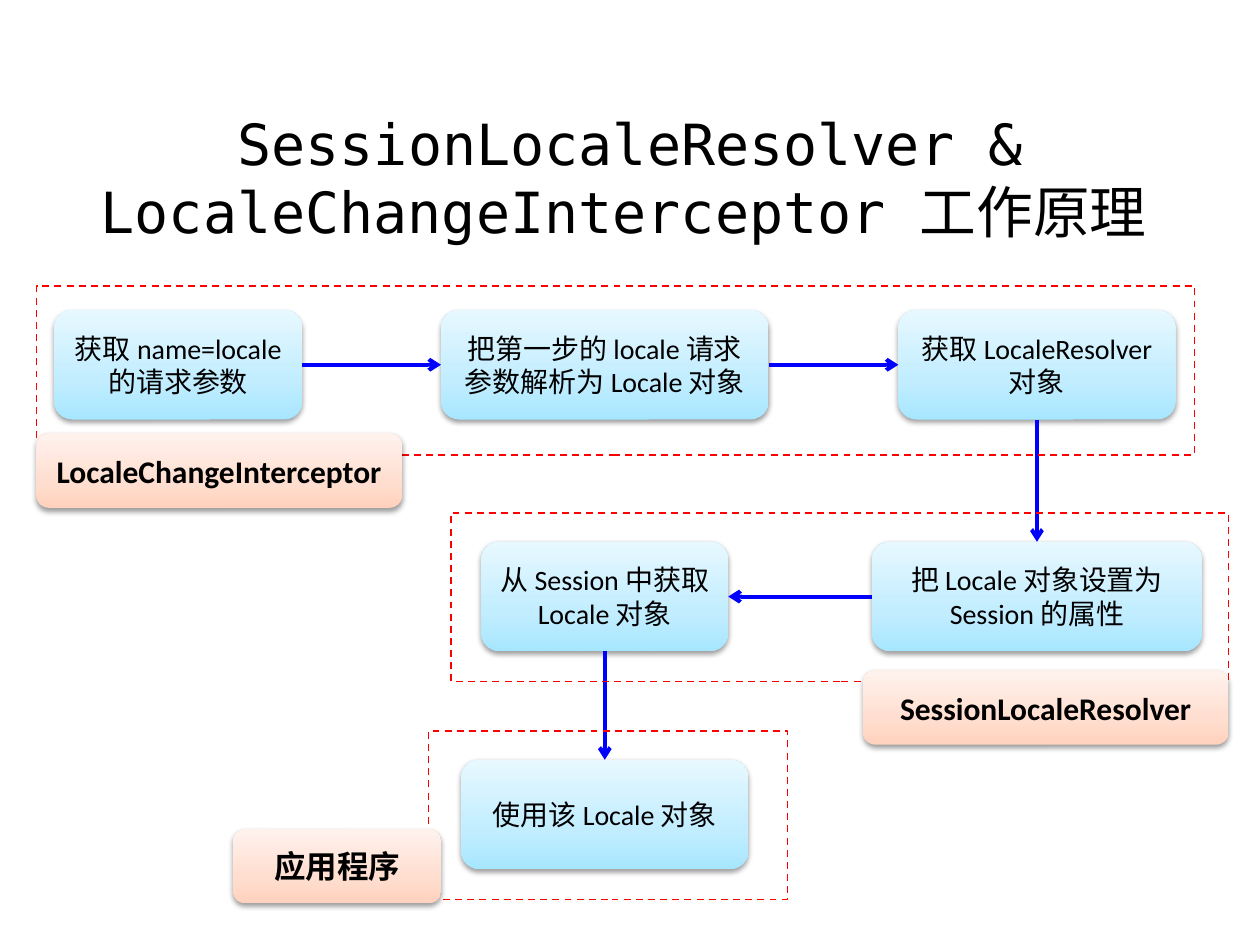
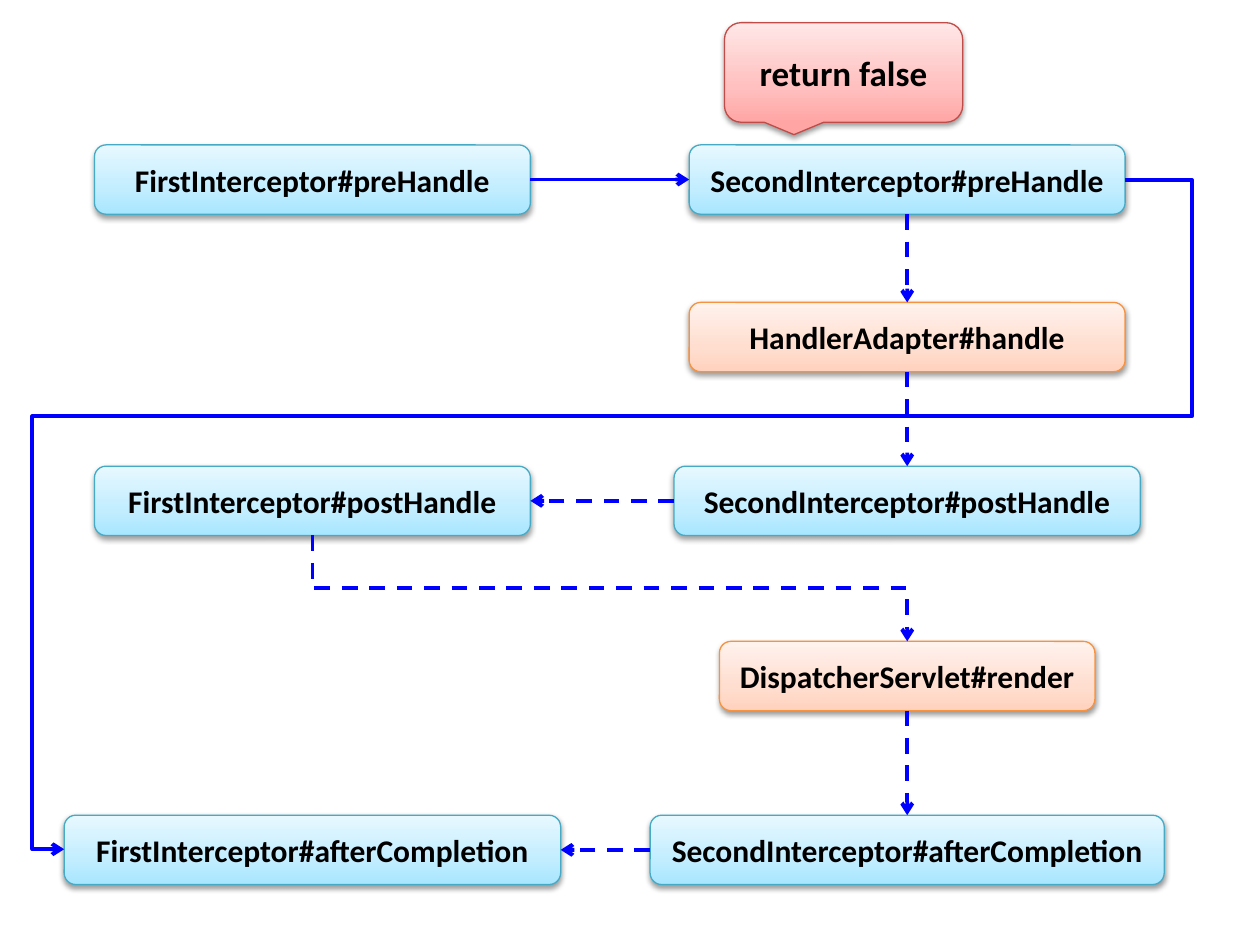
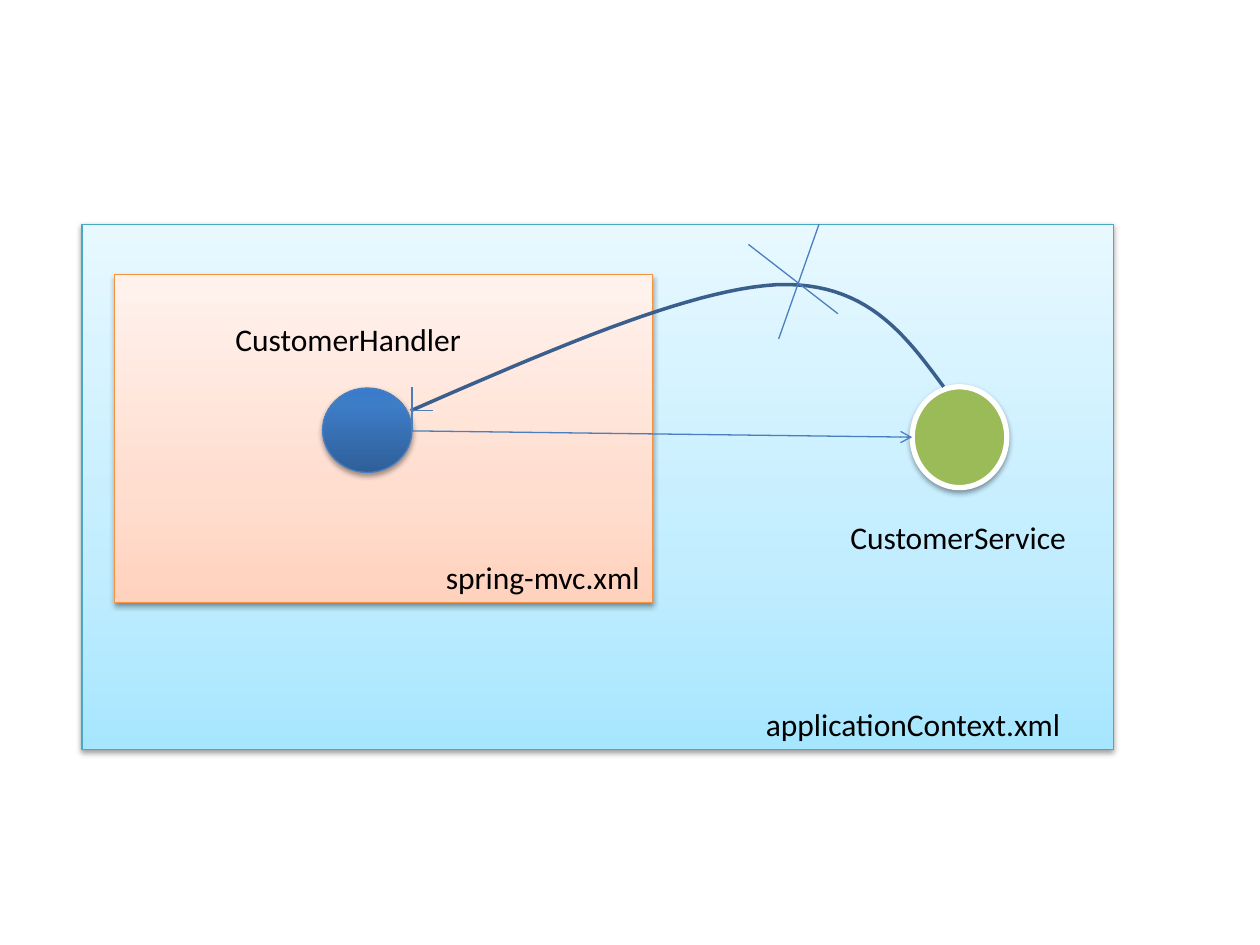
from pptx import Presentation
from pptx.dml.color import RGBColor
from pptx.enum.dml import MSO_LINE
from pptx.enum.shapes import MSO_CONNECTOR, MSO_SHAPE
from pptx.enum.text import MSO_ANCHOR, MSO_AUTO_SIZE, PP_ALIGN
from pptx.oxml.ns import qn
from pptx.util import Pt
from lxml.etree import SubElement

SCALE = 9144  # EMU in one px, 100 px to the inch
FONT = "Calibri"
MONO = "DejaVu Sans Mono"

BLACK = RGBColor(0x00, 0x00, 0x00)
WHITE = RGBColor(0xFF, 0xFF, 0xFF)
RED = RGBColor(0xFF, 0x00, 0x00)
BLUE = RGBColor(0x00, 0x00, 0xFF)
GREEN = RGBColor(0x9B, 0xBB, 0x59)
STEEL = RGBColor(0x4B, 0x7E, 0xBC)
NAVY = RGBColor(0x3A, 0x5F, 0x8C)
AQUA = RGBColor(0x46, 0xAA, 0xC5)
ORANGE = RGBColor(0xF6, 0x92, 0x40)
BRICK = RGBColor(0xBF, 0x4C, 0x48)

# Gradient stops run from bottom to top: (percent, colour)
SKY = [(0, RGBColor(0xA7, 0xE6, 0xFF)), (35, RGBColor(0xC1, 0xED, 0xFF)),
       (100, RGBColor(0xE7, 0xF8, 0xFF))]
PEACH = [(0, RGBColor(0xFF, 0xD2, 0xBD)), (35, RGBColor(0xFF, 0xDE, 0xD0)),
         (100, RGBColor(0xFF, 0xF2, 0xED))]
ROSE = [(0, RGBColor(0xFF, 0xA6, 0xA5)), (35, RGBColor(0xFF, 0xC0, 0xBF)),
        (100, RGBColor(0xFF, 0xE7, 0xE7))]
OCEAN = [(0, RGBColor(0x2F, 0x5F, 0x99)), (80, RGBColor(0x3D, 0x7C, 0xC7)),
         (100, RGBColor(0x3A, 0x7C, 0xCB))]

TOP, LEFT, BOTTOM, RIGHT = range(4)


def px(*values):
    return [round(value * SCALE) for value in values]


def add_color(parent, color):
    return SubElement(parent, qn("a:srgbClr"), val=str(color))


def fill_grad(shape, stops):
    shape.fill.gradient()
    shape.fill.gradient_angle = 90
    group = shape._element.spPr.find(qn("a:gradFill")).find(qn("a:gsLst"))
    group.clear()
    for percent, color in stops:
        add_color(SubElement(group, qn("a:gs"), pos=str(percent * 1000)), color)


def drop_shadow(shape):
    effects = shape._element.spPr.find(qn("a:effectLst"))
    outer = SubElement(effects, qn("a:outerShdw"), blurRad="40000",
                       dist="20000", dir="5400000", rotWithShape="0")
    SubElement(add_color(outer, BLACK), qn("a:alpha"), val="38000")


def set_line(shape, color, width, dash=False):
    shape.line.color.rgb = color
    shape.line.width = Pt(width)
    if dash:
        shape.line.dash_style = MSO_LINE.DASH


def write(frame, text, size, bold=False, font=FONT, align=PP_ALIGN.CENTER):
    frame.text = text
    para = frame.paragraphs[0]
    para.alignment = align
    para.font.name = font
    para.font.size = Pt(size)
    para.font.bold = bold
    para.font.color.rgb = BLACK


def add_box(slide, kind, place, fill, edge=None, width=0.75):
    """Add a raised shape; fill is a colour or a list of gradient stops."""
    shape = slide.shapes.add_shape(kind, *px(*place))
    shape.shadow.inherit = False
    drop_shadow(shape)
    if isinstance(fill, list):
        fill_grad(shape, fill)
    else:
        shape.fill.solid()
        shape.fill.fore_color.rgb = fill
    if edge is None:
        shape.line.fill.background()
    else:
        set_line(shape, edge, width)
    return shape


def add_card(slide, text, place, fill, edge=None, size=18, bold=True,
             kind=MSO_SHAPE.ROUNDED_RECTANGLE):
    card = add_box(slide, kind, place, fill, edge)
    card.text_frame.word_wrap = True
    card.text_frame.vertical_anchor = MSO_ANCHOR.MIDDLE
    write(card.text_frame, text, size, bold)
    return card


def add_zone(slide, place):
    zone = slide.shapes.add_shape(MSO_SHAPE.RECTANGLE, *px(*place))
    zone.shadow.inherit = False
    zone.fill.background()
    set_line(zone, RED, 1, dash=True)


def add_label(slide, text, place):
    label = slide.shapes.add_textbox(*px(*place))
    label.text_frame.word_wrap = True
    write(label.text_frame, text, 18, align=PP_ALIGN.LEFT)


def add_wire(slide, start, end, color=BLUE, width=2.25, dash=False,
             head=True, kind=MSO_CONNECTOR.STRAIGHT):
    wire = slide.shapes.add_connector(kind, *px(*start, *end))
    set_line(wire, color, width, dash)
    props = wire._element.spPr
    if head:
        SubElement(props.get_or_add_ln(), qn("a:tailEnd"), type="arrow")
    SubElement(props, qn("a:effectLst"))
    return wire


def link(slide, source, out, target, into, dash=False):
    """Join the given sides of two cards with an arrow."""
    wire = add_wire(slide, (0, 0), (1, 1), dash=dash)
    wire.begin_connect(source, out)
    wire.end_connect(target, into)


def add_drop(slide, start, end):
    """Add a dashed elbow that leaves downwards and arrives downwards."""
    (x1, y1), (x2, y2) = start, end
    midx, midy = (x1 + x2) / 2, (y1 + y2) / 2
    halfx, halfy = (y2 - y1) / 2, (x2 - x1) / 2
    wire = add_wire(slide, (midx + halfx, midy - halfy),
                    (midx - halfx, midy + halfy),
                    dash=True, kind=MSO_CONNECTOR.ELBOW)
    wire._element.spPr.find(qn("a:xfrm")).set("rot", "16200000")


def add_loop(slide, start, end, bends):
    """Add an elbow with five legs; bends are percents of its extent."""
    wire = add_wire(slide, start, end, kind=MSO_CONNECTOR.ELBOW)
    geom = wire._element.spPr.find(qn("a:prstGeom"))
    geom.set("prst", "bentConnector5")
    guides = geom.find(qn("a:avLst"))
    if guides is None:
        guides = SubElement(geom, qn("a:avLst"))
    for num, bend in enumerate(bends, 1):
        SubElement(guides, qn("a:gd"), name=f"adj{num}",
                   fmla=f"val {round(bend * 1000)}")


def bezier(nodes, steps=24):
    """Return points on a cubic curve, without its first node."""
    points = []
    for step in range(1, steps + 1):
        t = step / steps
        u = 1 - t
        parts = (u ** 3, 3 * u * u * t, 3 * u * t * t, t ** 3)
        points.append(tuple(sum(w * node[axis] for w, node in zip(parts, nodes))
                            for axis in (0, 1)))
    return points


def add_curve(slide, nodes, color, width):
    """Draw an open curve; every third node lies on it."""
    points = []
    for first in range(0, len(nodes) - 1, 3):
        points += bezier(nodes[first:first + 4])
    pen = slide.shapes.build_freeform(*px(*nodes[0]), scale=1.0)
    pen.add_line_segments([px(*point) for point in points], close=False)
    curve = pen.convert_to_shape()
    curve.shadow.inherit = False
    curve.fill.background()
    set_line(curve, color, width)


def set_title(slide, text):
    title = slide.shapes.title
    title.left, title.top, title.width, title.height = px(50, 78, 900, 125)
    frame = title.text_frame
    frame.auto_size = MSO_AUTO_SIZE.NONE
    frame.vertical_anchor = MSO_ANCHOR.MIDDLE
    write(frame, text, 32.4, font=MONO)


def show_locale(deck):
    slide = deck.slides.add_slide(deck.slide_layouts[5])
    set_title(slide, "SessionLocaleResolver & LocaleChangeInterceptor 工作原理 ")
    steps = [
        ("获取 name=locale 的请求参数", 43, 246, 197),
        ("把第一步的 locale 请求参数解析为 Locale 对象", 350, 246, 260),
        ("获取 LocaleResolver对象", 713, 246, 220),
        ("把 Locale 对象设置为 Session 的属性", 692, 430, 262),
        ("从 Session 中获取 Locale 对象", 382, 430, 196),
        ("使用该 Locale 对象", 366, 603, 228),
    ]
    cards = [add_card(slide, text, (x, y, width, 87), SKY, size=16, bold=False)
             for text, x, y, width in steps]
    sides = [(RIGHT, LEFT), (RIGHT, LEFT), (BOTTOM, TOP), (LEFT, RIGHT),
             (BOTTOM, TOP)]
    for source, target, (out, into) in zip(cards, cards[1:], sides):
        link(slide, source, out, target, into)
    zones = [
        ((29, 227, 919, 134), "LocaleChangeInterceptor", (29, 344, 290, 59)),
        ((358, 407, 617, 134), "SessionLocaleResolver", (685, 532, 290, 59)),
        ((340, 580, 285, 134), "应用程序", (185, 658, 165, 59)),
    ]
    for zone, name, place in zones:
        add_zone(slide, zone)
        add_card(slide, name, place, PEACH)


def show_chain(deck):
    slide = deck.slides.add_slide(deck.slide_layouts[6])

    def step(text, x, y, width, fill=SKY, edge=AQUA):
        return add_card(slide, text, (x, y, width, 55), fill, edge)

    pre1 = step("FirstInterceptor#preHandle", 75, 115, 346)
    pre2 = step("SecondInterceptor#preHandle", 547, 115, 346)
    handle = step("HandlerAdapter#handle", 547, 240, 346, PEACH, ORANGE)
    post2 = step("SecondInterceptor#postHandle", 535, 370, 370)
    post1 = step("FirstInterceptor#postHandle", 75, 370, 346)
    after2 = step("SecondInterceptor#afterCompletion", 516, 647, 408)
    after1 = step("FirstInterceptor#afterCompletion", 51, 647, 394)
    render = step("DispatcherServlet#render", 571, 509, 298, PEACH, ORANGE)
    add_card(slide, "return false", (575, 18, 189, 79), ROSE, BRICK, size=20,
             kind=MSO_SHAPE.ROUNDED_RECTANGULAR_CALLOUT)

    link(slide, pre1, RIGHT, pre2, LEFT)
    for source, out, target, into in [
            (pre2, BOTTOM, handle, TOP), (handle, BOTTOM, post2, TOP),
            (post2, LEFT, post1, RIGHT), (render, BOTTOM, after2, TOP),
            (after2, LEFT, after1, RIGHT)]:
        link(slide, source, out, target, into, dash=True)
    add_drop(slide, (248, 425), (720, 509))
    add_loop(slide, (893, 143), (51, 674), (-6.3, 35.3, 103))


def show_context(deck):
    slide = deck.slides.add_slide(deck.slide_layouts[6])
    add_box(slide, MSO_SHAPE.RECTANGLE, (65, 178, 819, 417), SKY, AQUA)
    add_label(slide, "applicationContext.xml", (598, 555, 280, 40))
    add_box(slide, MSO_SHAPE.RECTANGLE, (91, 218, 427, 260), PEACH, ORANGE)
    add_label(slide, "spring-mvc.xml", (344, 438, 297, 40))
    add_box(slide, MSO_SHAPE.OVAL, (724, 307, 75, 80), GREEN, WHITE, 3)
    add_box(slide, MSO_SHAPE.OVAL, (256, 308, 71, 67), OCEAN, STEEL)
    add_label(slide, "CustomerService", (665, 406, 197, 40))
    add_label(slide, "CustomerHandler", (177, 249, 220, 40))
    add_wire(slide, (327, 342), (724, 347), STEEL, 0.75)
    add_curve(slide, [(749, 307), (718, 265), (687, 223), (616, 226),
                      (546, 230), (436, 278), (326, 326)], NAVY, 2)
    tip = [((327, 307), (327, 342)), ((326, 326), (344, 326))]
    cross = [((650, 178), (618, 269)), ((594, 194), (665, 249))]
    for start, end in tip + cross:
        add_wire(slide, start, end, STEEL, 0.75, head=False)


def main():
    deck = Presentation()
    deck.slide_width, deck.slide_height = px(1000, 750)
    show_locale(deck)
    show_chain(deck)
    show_context(deck)
    deck.save("out.pptx")


if __name__ == "__main__":
    main()
